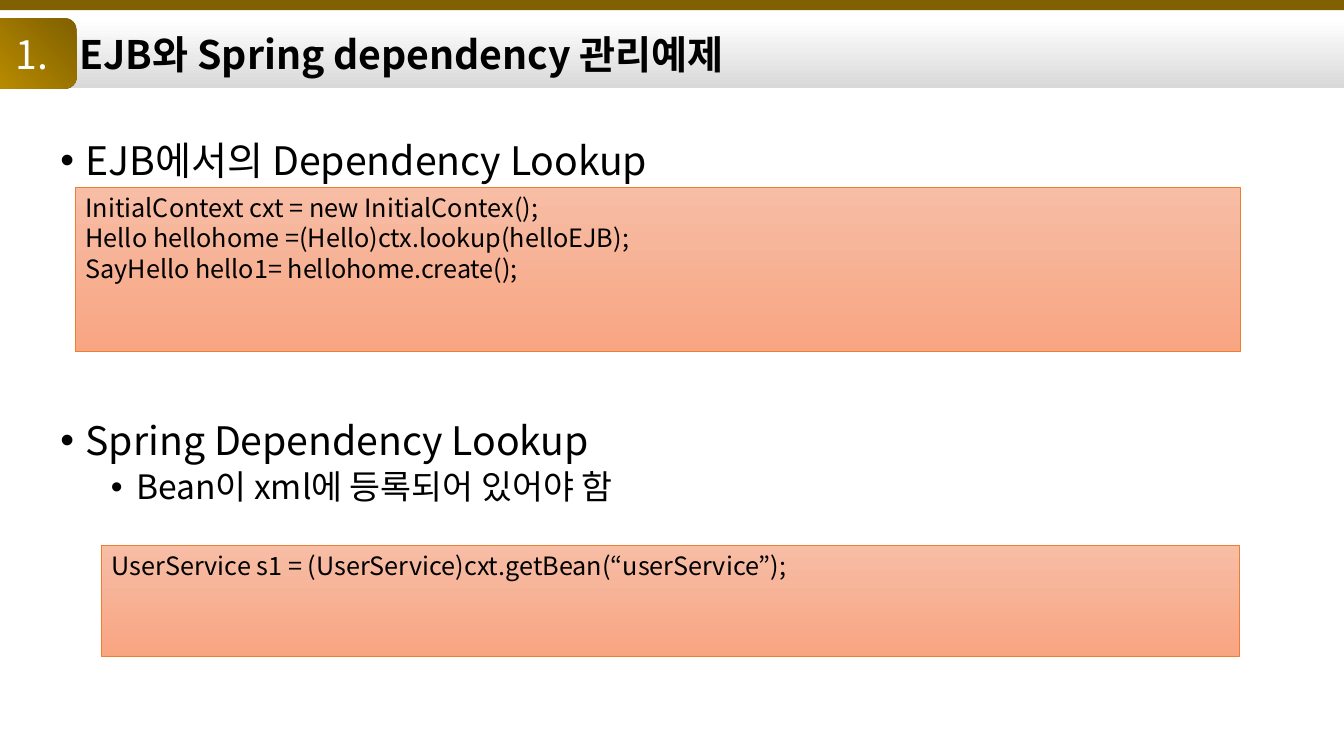
from dataclasses import dataclass

from lxml.etree import SubElement
from pptx import Presentation
from pptx.dml.color import RGBColor
from pptx.dml.fill import FillFormat
from pptx.enum.shapes import MSO_SHAPE
from pptx.enum.text import MSO_ANCHOR, MSO_AUTO_SIZE, PP_ALIGN
from pptx.oxml.ns import qn
from pptx.shapes.autoshape import Shape
from pptx.slide import Slide
from pptx.text.text import _Paragraph
from pptx.util import Inches, Pt

FONT = "Noto Sans CJK KR"


@dataclass
class Box:
    left: float
    top: float
    width: float
    height: float


@dataclass
class CodePanel:
    box: Box
    lines: list[str]


@dataclass
class Topic:
    text: str
    level: int
    size: int
    indent: float
    space_before: int


TOPICS = [
    Topic("EJB에서의 Dependency Lookup", 0, 28, 0.25, 0),
    Topic("Spring Dependency Lookup", 0, 28, 0.25, 170),
    Topic("Bean이 xml에 등록되어 있어야 함", 1, 24, 0.75, 5),
]

CODE_PANELS = [
    CodePanel(Box(0.75, 1.86, 11.55, 1.63), [
        "InitialContext cxt = new InitialContex();",
        "Hello hellohome =(Hello)ctx.lookup(helloEJB);",
        "SayHello hello1= hellohome.create();",
    ]),
    CodePanel(Box(1.01, 5.41, 11.28, 1.1), [
        "UserService s1 = (UserService)cxt.getBean(“userService”);",
    ]),
]


def color(value: str) -> RGBColor:
    return RGBColor.from_string(value)


def place(shape: Shape, box: Box) -> None:
    shape.left, shape.top = Inches(box.left), Inches(box.top)
    shape.width, shape.height = Inches(box.width), Inches(box.height)


def fill_gradient(fill: FillFormat, start: str, end: str, angle: int) -> None:
    fill.gradient()
    fill.gradient_angle = angle
    for stop, value in zip(fill.gradient_stops, (start, end)):
        stop.color.rgb = color(value)


def add_run(paragraph: _Paragraph, text: str, size: int,
            ink: str = "000000", bold: bool = False) -> None:
    run = paragraph.add_run()
    run.text = text
    run.font.size = Pt(size)
    run.font.bold = bold
    run.font.color.rgb = color(ink)
    run.font.name = FONT
    SubElement(run.font._element, qn("a:ea"), typeface=FONT)


def add_block(slide: Slide, kind: MSO_SHAPE, box: Box) -> Shape:
    block = slide.shapes.add_shape(kind, 0, 0, 0, 0)
    place(block, box)
    block.shadow.inherit = False
    block.line.fill.background()
    return block


def add_heading(slide: Slide) -> None:
    heading = slide.shapes.title
    place(heading, Box(0.43, 0.19, 12.92, 0.68))
    fill_gradient(heading.fill, "FFFFFF", "D9D9D9", 270)
    frame = heading.text_frame
    frame.auto_size = MSO_AUTO_SIZE.NONE
    frame.vertical_anchor = MSO_ANCHOR.MIDDLE
    frame.margin_left = Inches(0.36)
    paragraph = frame.paragraphs[0]
    paragraph.alignment = PP_ALIGN.LEFT
    add_run(paragraph, "EJB와 Spring dependency 관리예제", 28, bold=True)


def add_topics(slide: Slide) -> None:
    body = slide.placeholders[1]
    place(body, Box(0.5, 1.35, 12.32, 5.71))
    frame = body.text_frame
    frame.auto_size = MSO_AUTO_SIZE.NONE
    for index, topic in enumerate(TOPICS):
        paragraph = frame.add_paragraph() if index else frame.paragraphs[0]
        paragraph.level = topic.level
        paragraph.line_spacing = 0.9
        paragraph.space_before = Pt(topic.space_before)
        properties = paragraph._p.get_or_add_pPr()
        properties.set("marL", str(Inches(topic.indent)))
        properties.set("indent", str(Inches(-0.25)))
        SubElement(properties, qn("a:buFont"), typeface="Arial")
        SubElement(properties, qn("a:buChar"), char="•")
        add_run(paragraph, topic.text, topic.size)


def add_section_number(slide: Slide) -> None:
    band = add_block(slide, MSO_SHAPE.RECTANGLE, Box(0, 0, 13.33, 0.1))
    band.fill.solid()
    band.fill.fore_color.rgb = color("806000")

    badge = add_block(slide, MSO_SHAPE.ROUNDED_RECTANGLE, Box(-0.18, 0.18, 0.94, 0.7))
    fill_gradient(badge.fill, "806000", "BF9000", 225)
    frame = badge.text_frame
    frame.margin_left = Inches(0.16)
    frame.vertical_anchor = MSO_ANCHOR.MIDDLE
    paragraph = frame.paragraphs[0]
    paragraph.alignment = PP_ALIGN.CENTER
    add_run(paragraph, "1.", 28, "FFFFFF")


def add_code_panel(slide: Slide, panel: CodePanel) -> None:
    block = add_block(slide, MSO_SHAPE.RECTANGLE, panel.box)
    fill_gradient(block.fill, "F7BDA5", "F8A582", 270)
    block.line.color.rgb = color("ED7D31")
    block.line.width = Pt(0.5)
    frame = block.text_frame
    frame.word_wrap = True
    frame.vertical_anchor = MSO_ANCHOR.TOP
    for index, code in enumerate(panel.lines):
        paragraph = frame.add_paragraph() if index else frame.paragraphs[0]
        paragraph.alignment = PP_ALIGN.LEFT
        add_run(paragraph, code, 18)


def main() -> None:
    deck = Presentation()
    deck.slide_width, deck.slide_height = Inches(13.33), Inches(7.5)
    slide = deck.slides.add_slide(deck.slide_layouts[1])
    add_heading(slide)
    add_topics(slide)
    add_section_number(slide)
    for panel in CODE_PANELS:
        add_code_panel(slide, panel)
    deck.save("out.pptx")


if __name__ == "__main__":
    main()
